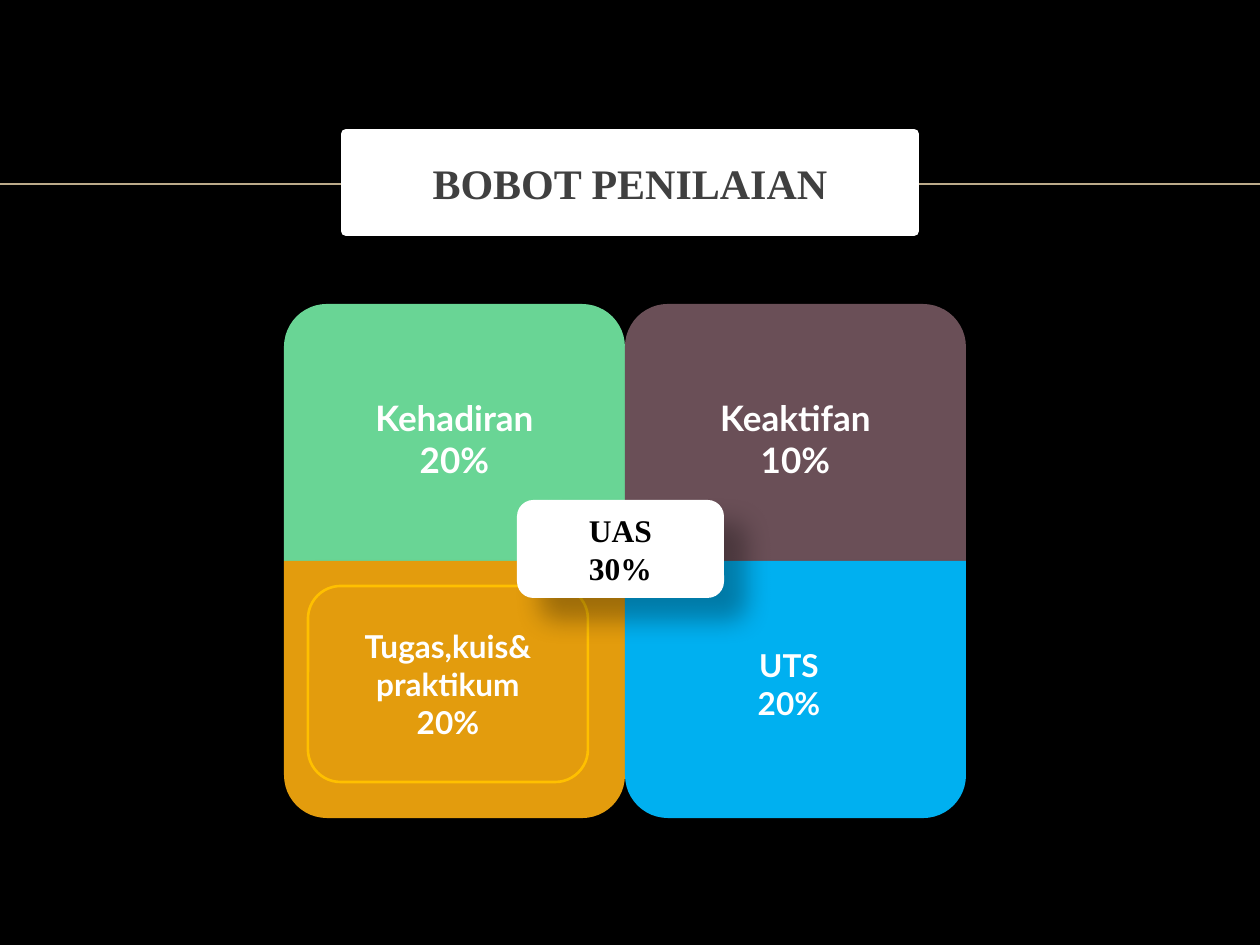
"""Build the grading-weights slide: four tiles around a central card."""
from lxml import etree
from pptx import Presentation, util as u
from pptx.dml.color import RGBColor
from pptx.enum import shapes as s, text as t
from pptx.oxml import ns

PX = 914400 // 126
ROUND_TOP = s.MSO_SHAPE.ROUND_2_SAME_RECTANGLE
ROUND = s.MSO_SHAPE.ROUNDED_RECTANGLE


def block(slide, kind, box, fill, content="", line=None, weight=1.5, size=18,
          font="Lato", color="FFFFFF", before=0, rotation=0, shadow=False):
    """Add a filled shape with centred bold text, one paragraph per line."""
    shape = slide.shapes.add_shape(kind, *[n * PX for n in box])
    shape.rotation = rotation
    shape.shadow.inherit = False
    shape.fill.solid()
    shape.fill.fore_color.rgb = RGBColor.from_string(fill)
    if line:
        shape.line.color.rgb = RGBColor.from_string(line)
        shape.line.width = u.Pt(weight)
    else:
        shape.line.fill.background()
    if shadow:
        effects = shape._element.spPr.find(ns.qn("a:effectLst"))
        outer = etree.SubElement(effects, ns.qn("a:outerShdw"), blurRad=str(u.Pt(15)),
                                 dist=str(u.Pt(18)), dir="2700000", algn="tl", rotWithShape="0")
        black = etree.SubElement(outer, ns.qn("a:srgbClr"), val="000000")
        etree.SubElement(black, ns.qn("a:alpha"), val="30000")
    if content:
        frame = shape.text_frame
        frame.word_wrap = True
        frame.vertical_anchor = t.MSO_ANCHOR.MIDDLE
        frame.text = content
        for paragraph in frame.paragraphs:
            paragraph.alignment = t.PP_ALIGN.CENTER
            paragraph.space_before = u.Pt(before)
            for run in paragraph.runs:
                run.font.name = font
                run.font.size = u.Pt(size)
                run.font.bold = True
                run.font.color.rgb = RGBColor.from_string(color)


deck = Presentation()
deck.slide_width, deck.slide_height = 1260 * PX, 945 * PX
slide = deck.slides.add_slide(deck.slide_layouts[6])
slide.background.fill.solid()
slide.background.fill.fore_color.rgb = RGBColor.from_string("000000")

rule = slide.shapes.add_connector(s.MSO_CONNECTOR.STRAIGHT, 0, 184 * PX, 1260 * PX, 184 * PX)
rule.line.color.rgb = RGBColor.from_string("BBAA8A")
rule.line.width = u.Pt(1)
etree.SubElement(rule._element.spPr, ns.qn("a:effectLst"))

block(slide, s.MSO_SHAPE.RECTANGLE, (346, 134, 568, 97), "FFFFFF", "BOBOT PENILAIAN",
      line="FFFFFF", weight=6, size=24, font="Times New Roman", color="404040", before=4)

left, top, width, height = 284, 304, 341, 257
upper = [("Kehadiran\n20%", "69D595"), ("Keaktifan\n10%", "6A4F57")]
lower = [("Tugas,kuis& praktikum\n20%", "E39C0D", "FFC000"), ("UTS\n20%", "00B0F0", "00B0F0")]

for column, (label, fill) in enumerate(upper):
    block(slide, ROUND_TOP, (left + column * width, top, width, height), fill, label,
          size=20, shadow=True)

for column, (label, fill, outline) in enumerate(lower):
    x, y = left + column * width, top + height
    block(slide, ROUND_TOP, (x, y, width, height), fill, rotation=180, shadow=True)
    block(slide, ROUND, (x + 24, y + 25, 280, 196), fill, label, line=outline)

block(slide, ROUND, (517, 500, 207, 98), "FFFFFF", "UAS\n30%",
      font="Times New Roman", color="000000", shadow=True)

deck.save("out.pptx")
